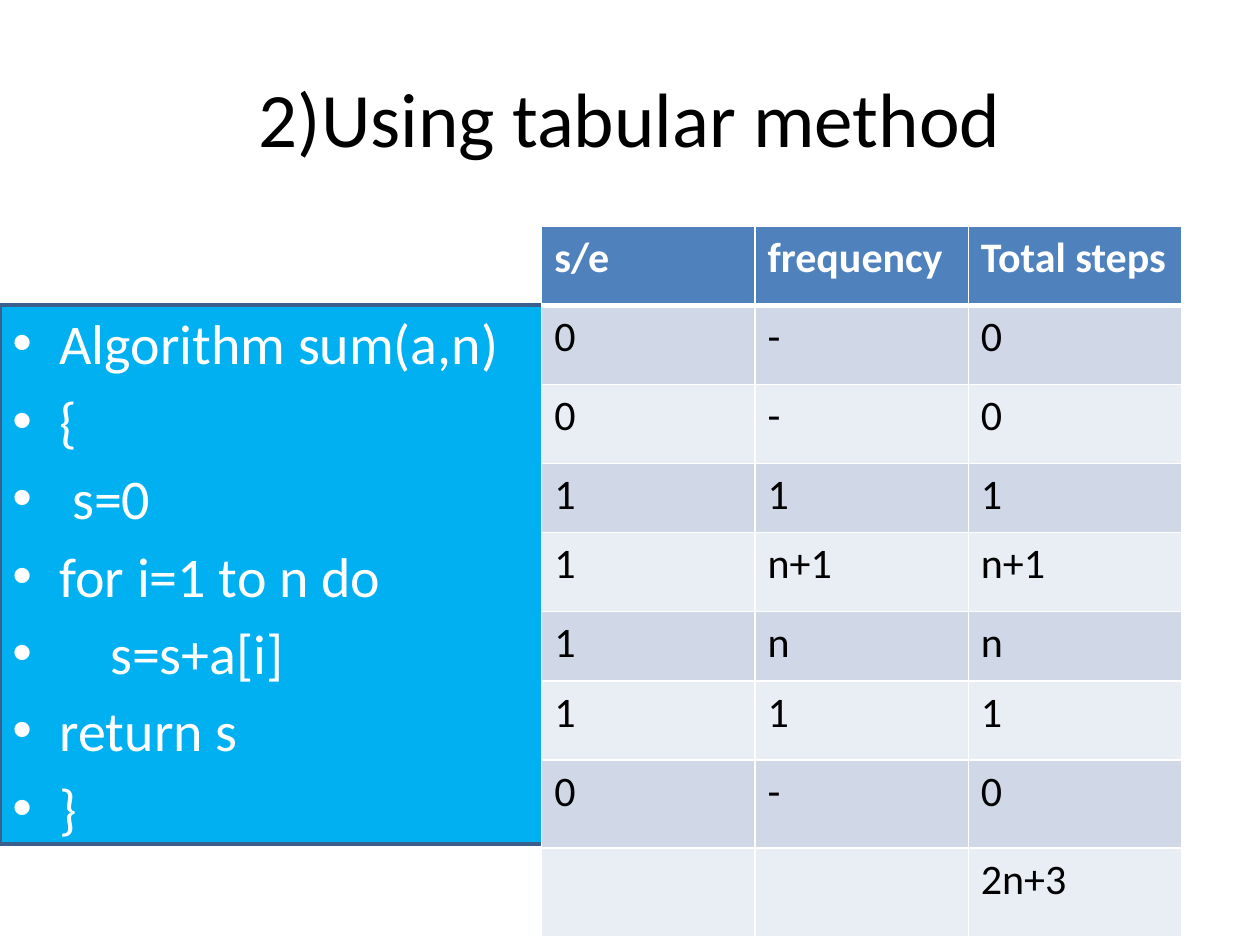
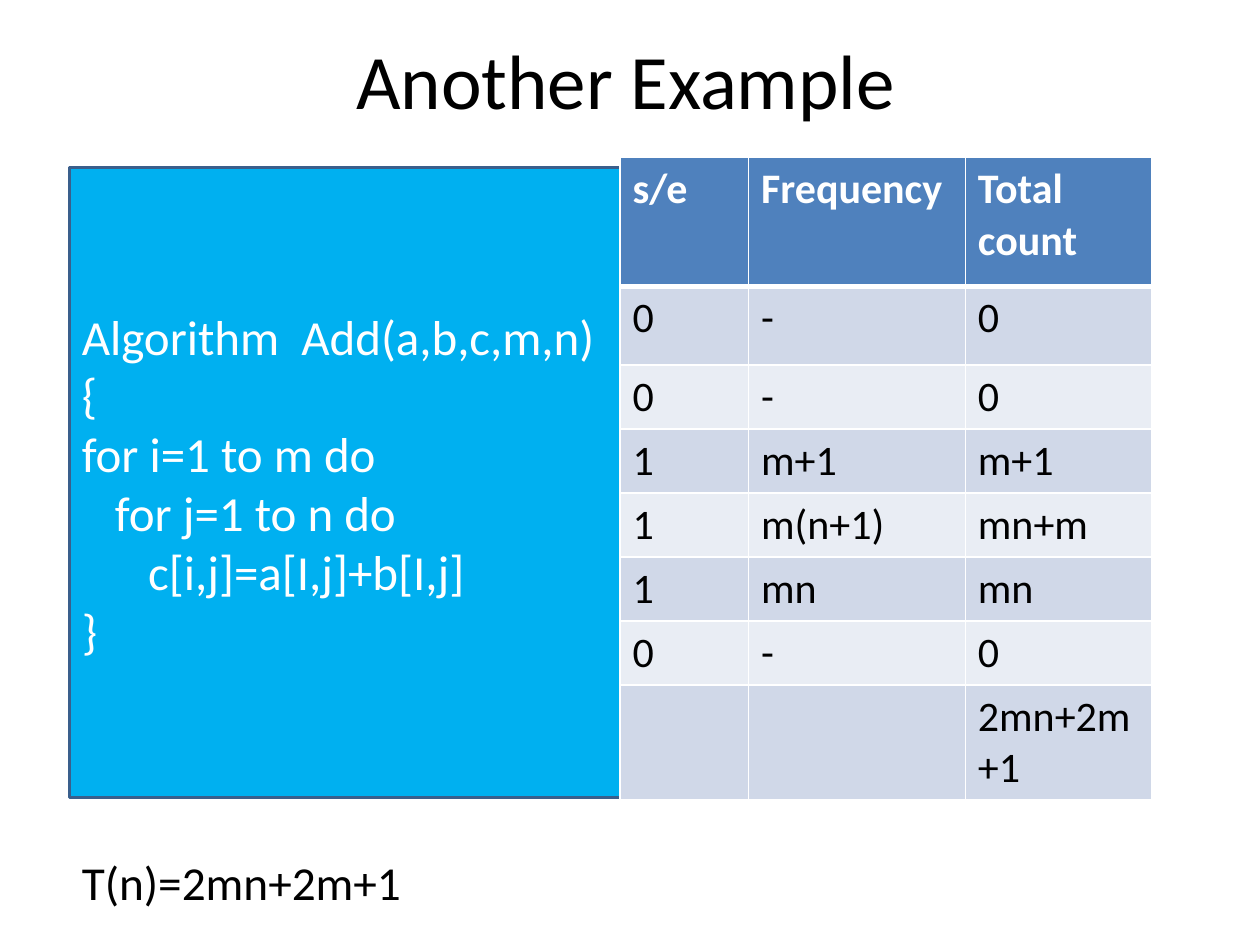
from dataclasses import dataclass

from lxml.etree import SubElement
from pptx import Presentation
from pptx.dml.color import RGBColor
from pptx.enum.shapes import MSO_SHAPE
from pptx.enum.text import MSO_ANCHOR, PP_ALIGN
from pptx.oxml.ns import qn
from pptx.slide import Slide
from pptx.util import Cm, Pt

WHITE = RGBColor(0xFF, 0xFF, 0xFF)
BLACK = RGBColor(0x00, 0x00, 0x00)
SKY = RGBColor(0x00, 0xB0, 0xF0)
EDGE = RGBColor(0x3A, 0x5F, 0x8C)
HEAD = RGBColor(0x4F, 0x81, 0xBD)
BANDS = (RGBColor(0xD0, 0xD8, 0xE8), RGBColor(0xE9, 0xED, 0xF4))
FACE = "Calibri"
INDENT = Cm(0.95)


@dataclass
class Box:
    left: float
    top: float
    width: float
    height: float

    def place(self) -> tuple:
        return Cm(self.left), Cm(self.top), Cm(self.width), Cm(self.height)


@dataclass
class Code:
    box: Box
    lines: list[str]
    size: float
    dots: bool = False


@dataclass
class Grid:
    left: float
    top: float
    widths: list[float]
    heights: list[float]
    rows: list[list[str]]


@dataclass
class Page:
    title: str
    spot: Box
    code: Code
    grid: Grid


def style(para, size: float, color: RGBColor, bold: bool = False) -> None:
    font = para.font
    font.name, font.size, font.bold = FACE, Pt(size), bold
    font.color.rgb = color


def add_dot(para) -> None:
    props = para._p.get_or_add_pPr()
    props.set("marL", str(INDENT))
    props.set("indent", str(-INDENT))
    SubElement(props, qn("a:buFont"), typeface="Arial")
    SubElement(props, qn("a:buChar"), char="•")


def draw_title(slide: Slide, text: str, spot: Box) -> None:
    title = slide.shapes.title
    title.left, title.top, title.width, title.height = spot.place()
    frame = title.text_frame
    frame.text = text
    frame.vertical_anchor = MSO_ANCHOR.MIDDLE
    para = frame.paragraphs[0]
    para.alignment = PP_ALIGN.CENTER
    style(para, 44, BLACK)


def draw_code(slide: Slide, code: Code) -> None:
    shape = slide.shapes.add_shape(MSO_SHAPE.RECTANGLE, *code.box.place())
    shape.shadow.inherit = False
    shape.fill.solid()
    shape.fill.fore_color.rgb = SKY
    shape.line.color.rgb = EDGE
    shape.line.width = Pt(2)
    frame = shape.text_frame
    frame.word_wrap = True
    frame.vertical_anchor = MSO_ANCHOR.MIDDLE
    frame.text = "\n".join(code.lines)
    for index, para in enumerate(frame.paragraphs):
        para.alignment = PP_ALIGN.LEFT
        if code.dots:
            add_dot(para)
            para.space_before = Pt(5.8 if index else 0)
        style(para, code.size, WHITE)


def add_edges(cell, top: float, bottom: float) -> None:
    props = cell._tc.get_or_add_tcPr()
    edges = {"a:lnL": 1, "a:lnR": 1, "a:lnT": top, "a:lnB": bottom}
    for tag, width in edges.items():
        line = SubElement(props, qn(tag), w=str(Pt(width)))
        fill = SubElement(line, qn("a:solidFill"))
        SubElement(fill, qn("a:srgbClr"), val=str(WHITE))


def draw_grid(slide: Slide, grid: Grid) -> None:
    box = Box(grid.left, grid.top, sum(grid.widths), sum(grid.heights))
    table = slide.shapes.add_table(
        len(grid.rows), len(grid.widths), *box.place()).table
    for col, width in zip(table.columns, grid.widths):
        col.width = Cm(width)
    for index, (row, height) in enumerate(zip(table.rows, grid.heights)):
        row.height = Cm(height)
        first = index == 0
        for cell, text in zip(row.cells, grid.rows[index]):
            cell.text = text
            style(cell.text_frame.paragraphs[0], 24,
                  WHITE if first else BLACK, first)
            add_edges(cell, 3 if index == 1 else 1, 3 if first else 1)
            cell.fill.solid()
            cell.fill.fore_color.rgb = HEAD if first else BANDS[(index - 1) % 2]


def draw_note(slide: Slide, text: str, box: Box) -> None:
    frame = slide.shapes.add_textbox(*box.place()).text_frame
    frame.word_wrap = True
    frame.text = text
    style(frame.paragraphs[0], 27, BLACK)


def add_page(deck, page: Page) -> Slide:
    slide = deck.slides.add_slide(deck.slide_layouts[5])
    draw_title(slide, page.title, page.spot)
    draw_code(slide, page.code)
    draw_grid(slide, page.grid)
    return slide


SUM = Page(
    "2)Using tabular method",
    Box(1.27, 0.76, 22.86, 3.18),
    Code(
        Box(0, 6.15, 11.5, 10.87),
        ["Algorithm sum(a,n)", "{", " s=0", "for i=1 to n do",
         "    s=s+a[i]", "return s", "}"],
        32, dots=True,
    ),
    Grid(
        10.92, 4.57, [4.3] * 3,
        [1.59, 1.59, 1.59, 1.4, 1.59, 1.4, 1.59, 1.78, 1.78],
        [["s/e", "frequency", "Total steps"],
         ["0", "-", "0"],
         ["0", "-", "0"],
         ["1", "1", "1"],
         ["1", "n+1", "n+1"],
         ["1", "n", "n"],
         ["1", "1", "1"],
         ["0", "-", "0"],
         ["", "", "2n+3"]],
    ),
)

ADD = Page(
    "Another Example",
    Box(1.19, 0, 22.86, 3.18),
    Code(
        Box(1.4, 3.38, 11.13, 12.7),
        ["Algorithm  Add(a,b,c,m,n)", "{", "for i=1 to m do",
         "   for j=1 to n do", "      c[i,j]=a[I,j]+b[I,j]", "}"],
        28,
    ),
    Grid(
        12.5, 3.18, [2.59, 4.37, 3.76],
        [2.59, 1.59] + [1.29] * 5 + [2.3],
        [["s/e", "Frequency", "Total count"],
         ["0", "-", "0"],
         ["0", "-", "0"],
         ["1", "m+1", "m+1"],
         ["1", "m(n+1)", "mn+m"],
         ["1", "mn", "mn"],
         ["0", "-", "0"],
         ["", "", "2mn+2m+1"]],
    ),
)


def main() -> None:
    deck = Presentation()
    deck.slide_width, deck.slide_height = Cm(25.4), Cm(19.05)
    add_page(deck, SUM)
    last = add_page(deck, ADD)
    draw_note(last, "T(n)=2mn+2m+1", Box(1.4, 17.07, 11.3, 1.42))
    deck.save("out.pptx")


if __name__ == "__main__":
    main()
